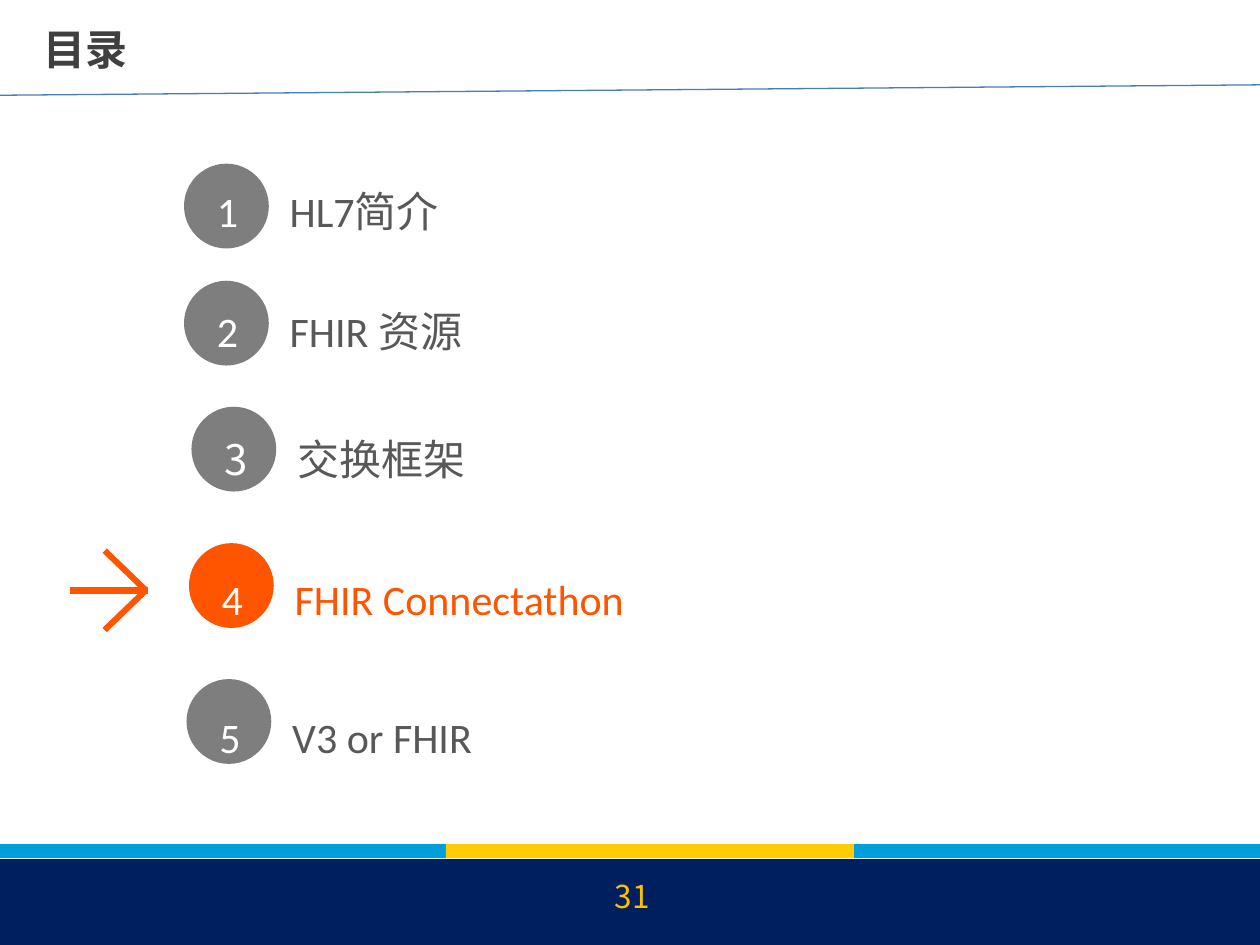
from lxml.etree import SubElement
from pptx import Presentation
from pptx.dml.color import RGBColor
from pptx.enum.shapes import MSO_CONNECTOR, MSO_SHAPE
from pptx.enum.text import MSO_ANCHOR, MSO_AUTO_SIZE, PP_ALIGN
from pptx.oxml.ns import qn
from pptx.util import Cm, Pt

NAVY = RGBColor(0x00, 0x1F, 0x5F)
SKY = RGBColor(0x00, 0x9E, 0xDB)
YELLOW = RGBColor(0xFF, 0xCC, 0x03)
GOLD = RGBColor(0xFF, 0xC0, 0x00)
ORANGE = RGBColor(0xFF, 0x54, 0x00)
GREY = RGBColor(0x7E, 0x7E, 0x7E)
TEXT_GREY = RGBColor(0x58, 0x58, 0x58)
TITLE_GREY = RGBColor(0x40, 0x40, 0x40)
RULE_BLUE = RGBColor(0x49, 0x7D, 0xBA)
LATIN = "Calibri"
CJK = "Noto Sans CJK SC"

SLIDE_WIDTH, SLIDE_HEIGHT = 25.4, 19.05
DISC = 1.71
LABEL_OFFSET, NUMBER_HANG = 2.13, 1.47
CURRENT_TOPIC = 4
TOPICS = [
    ("HL7简介", LATIN, 0, 0, 0),
    ("FHIR 资源", LATIN, 0, 2.36, 32.5),
    ("交换框架", CJK, 0.15, 4.9, 37),
    ("FHIR Connectathon", LATIN, 0.1, 7.65, 44),
    ("V3 or FHIR", LATIN, 0.05, 10.39, 43),
]


def place(shape, left, top, width, height):
    """Move a shape to a box given in centimetres."""
    shape.left, shape.top = Cm(left), Cm(top)
    shape.width, shape.height = Cm(width), Cm(height)


def add_block(slide, preset, box, color):
    """Add a flat shape without outline."""
    block = slide.shapes.add_shape(preset, *map(Cm, box))
    block.shadow.inherit = False
    block.fill.solid()
    block.fill.fore_color.rgb = color
    block.line.fill.background()


def add_stroke(slide, start, end, color, weight):
    """Draw a straight line between two points."""
    stroke = slide.shapes.add_connector(
        MSO_CONNECTOR.STRAIGHT, *map(Cm, (*start, *end)))
    stroke.line.color.rgb = color
    stroke.line.width = Pt(weight)
    SubElement(stroke.element.spPr, qn("a:effectLst"))


def prepare_frame(frame, anchor):
    """Strip margins and fix the anchor of a text frame."""
    frame.margin_left = frame.margin_right = 0
    frame.margin_top = frame.margin_bottom = 0
    frame.word_wrap = True
    frame.auto_size = MSO_AUTO_SIZE.NONE
    frame.vertical_anchor = anchor


def format_runs(paragraph, latin, size, color, bold=False):
    """Format every run of a paragraph."""
    for run in paragraph.runs:
        run.font.size = Pt(size)
        run.font.bold = bold
        run.font.color.rgb = color
        run.font.name = latin
        SubElement(run.font._element, qn("a:ea"), typeface=CJK)


def number_paragraph(paragraph, number, font, indent):
    """Give a paragraph a white hanging number."""
    properties = paragraph._p.get_or_add_pPr()
    properties.set("marL", str(Cm(indent)))
    properties.set("indent", str(-Cm(NUMBER_HANG)))
    number_color = SubElement(properties, qn("a:buClr"))
    SubElement(number_color, qn("a:srgbClr"), val="FFFFFF")
    SubElement(properties, qn("a:buFont"), typeface=font)
    SubElement(properties, qn("a:buAutoNum"), type="arabicPlain",
               startAt=str(number))


def build_header(slide, left, top, width, height):
    """Place the title and the slanted rule below it."""
    title = slide.shapes.title
    place(title, left + 0.88, top + 0.2, width - 1.76, 1.55)
    title.text_frame.text = "目录"
    prepare_frame(title.text_frame, MSO_ANCHOR.MIDDLE)
    heading = title.text_frame.paragraphs[0]
    heading.alignment = PP_ALIGN.LEFT
    format_runs(heading, CJK, 24, TITLE_GREY, True)
    add_stroke(slide, (left, top + height),
               (left + width, top + height - 0.21), RULE_BLUE, 0.75)


def build_footer(slide, left, top, width, height):
    """Place the coloured bands and the page number."""
    edges = (0, 8.99, 17.22, width)
    for start, end, color in zip(edges, edges[1:], (SKY, YELLOW, SKY)):
        add_block(slide, MSO_SHAPE.RECTANGLE,
                  (left + start, top, end - start, 0.28), color)
    add_block(slide, MSO_SHAPE.RECTANGLE,
              (left, top + 0.3, width, height - 0.3), NAVY)
    page = slide.shapes.add_textbox(
        *map(Cm, (left + 11.5, top + 0.66, 2.5, 0.92)))
    page.text_frame.text = "31"
    prepare_frame(page.text_frame, MSO_ANCHOR.TOP)
    page_number = page.text_frame.paragraphs[0]
    page_number.alignment = PP_ALIGN.CENTER
    format_runs(page_number, CJK, 18, GOLD)


def build_agenda(slide, left, top, width, height):
    """Place the numbered topics over their discs."""
    agenda = slide.placeholders[1]
    place(agenda, left, top + 0.19, width, height - 0.19)
    frame = agenda.text_frame
    frame.text = "\n".join(topic[0] for topic in TOPICS)
    prepare_frame(frame, MSO_ANCHOR.TOP)
    for number, (paragraph, topic) in enumerate(
            zip(frame.paragraphs, TOPICS), 1):
        _, font, shift, drop, gap = topic
        current = number == CURRENT_TOPIC
        add_block(slide, MSO_SHAPE.OVAL,
                  (left + shift, top + drop, DISC, DISC),
                  ORANGE if current else GREY)
        paragraph.alignment = PP_ALIGN.LEFT
        paragraph.line_spacing = Pt(36)
        paragraph.space_before = Pt(gap)
        paragraph.space_after = Pt(0)
        number_paragraph(paragraph, number, font, shift + LABEL_OFFSET)
        format_runs(paragraph, font, 24, ORANGE if current else TEXT_GREY)
    agenda.element.getparent().append(agenda.element)


def build_pointer(slide, left, top, width, height):
    """Draw the arrow that marks the current topic."""
    middle = top + height / 2
    tip = (left + width, middle)
    add_stroke(slide, (left, middle), tip, ORANGE, 4)
    for barb in (top, top + height):
        add_stroke(slide, (left + 0.69, barb),
                   (tip[0] - 0.05, middle), ORANGE, 3.5)


def main():
    """Build the agenda slide and save it."""
    deck = Presentation()
    deck.slide_width, deck.slide_height = Cm(SLIDE_WIDTH), Cm(SLIDE_HEIGHT)
    slide = deck.slides.add_slide(deck.slide_layouts[1])
    build_footer(slide, 0, 17.02, SLIDE_WIDTH, 2.03)
    build_header(slide, 0, 0, SLIDE_WIDTH, 1.92)
    build_pointer(slide, 1.42, 11.1, 1.57, 1.6)
    build_agenda(slide, 3.71, 3.3, 18, 13.2)
    deck.save("out.pptx")


main()
